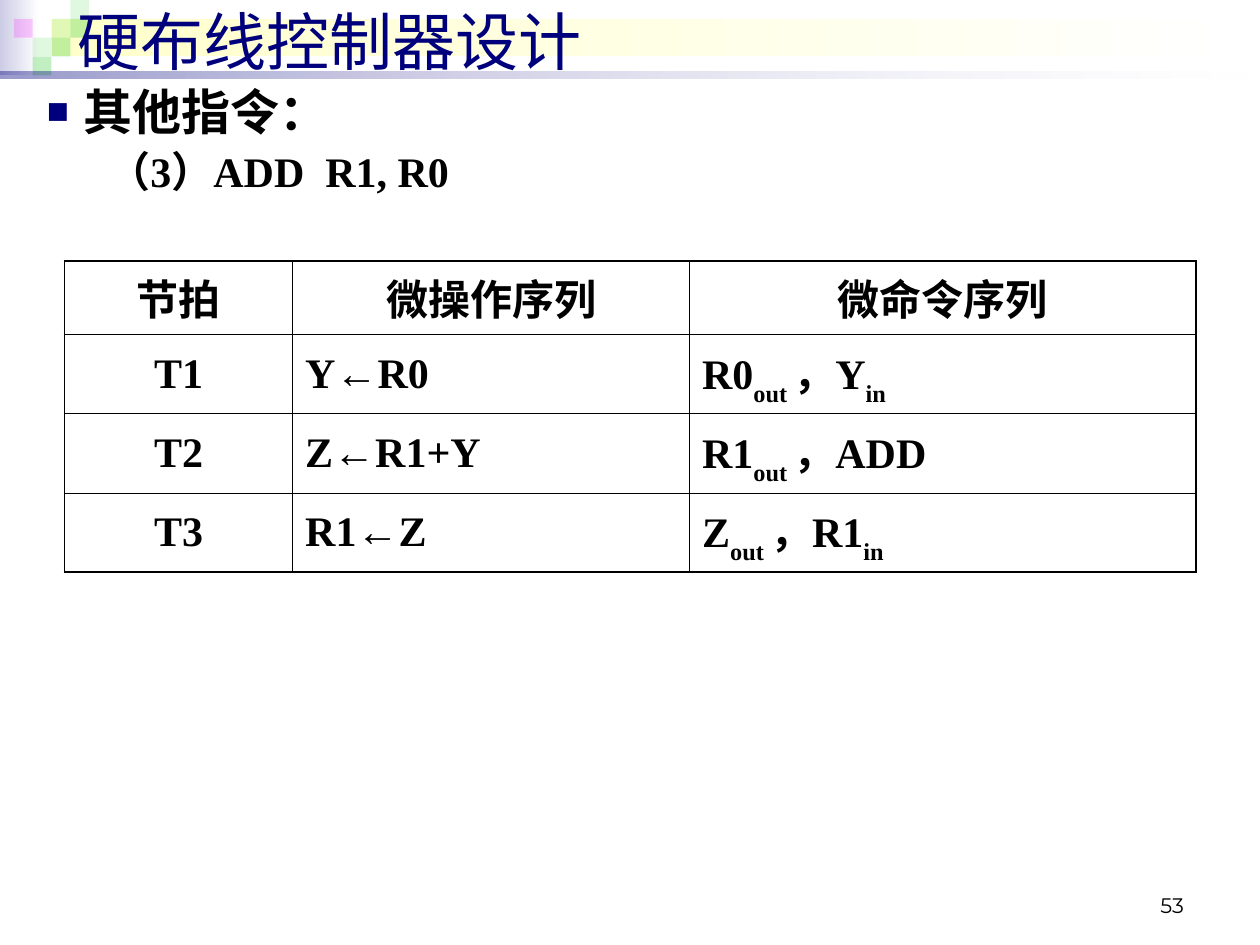
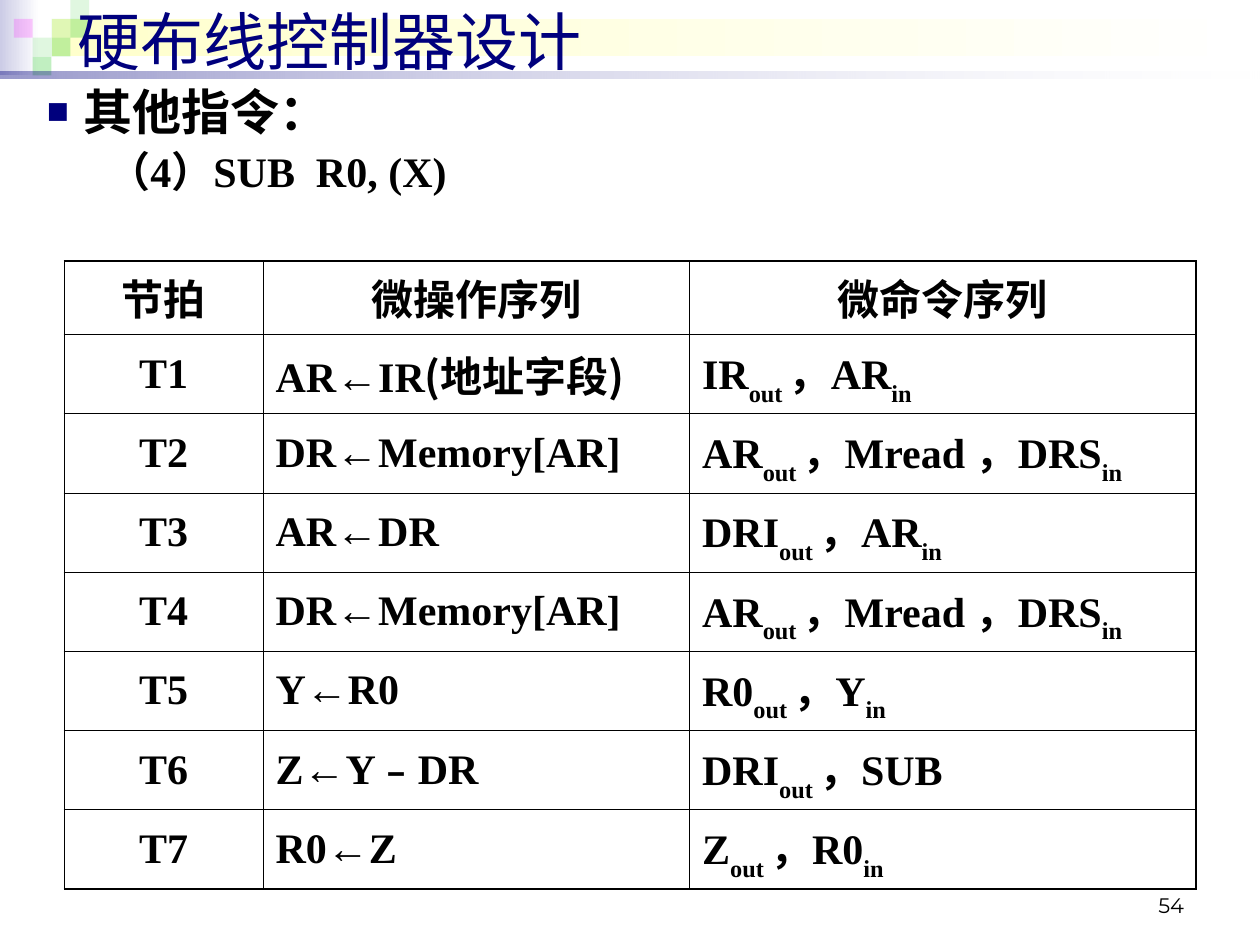
from dataclasses import dataclass

from lxml.etree import SubElement
from pptx import Presentation
from pptx.dml.color import RGBColor as RGB
from pptx.enum.shapes import MSO_SHAPE as SHAPE
from pptx.enum.text import MSO_ANCHOR as ANCHOR, MSO_AUTO_SIZE as FIT, PP_ALIGN as ALIGN
from pptx.oxml.ns import qn
from pptx.util import Cm, Pt


@dataclass(frozen=True)
class Theme:
    """Colours, fonts and type sizes shared by the slides."""

    navy: str = "00007D"
    black: str = "000000"
    white: str = "FFFFFF"
    lavender: str = "CCCCE6"
    cream: str = "FFFFCC"
    green: str = "33CC33"
    pink: str = "FF00FF"
    title_font: str = "Arial"
    body_font: str = "Times New Roman"
    cjk_font: str = "Noto Sans CJK SC"
    number_font: str = "Montserrat"
    title_size: int = 36
    lead_size: int = 28
    body_size: int = 24
    number_size: int = 12


T = Theme()
TITLE = "硬布线控制器设计"
LEAD = "其他指令："
HEADER = ("节拍", "微操作序列", "微命令序列")
OUTER, VERTICAL, HORIZONTAL = 1.08, 0.45, 0.34
SUBSCRIPTS = ("out", "in")
SLIDES = (
    dict(
        number="53",
        instruction="（3）ADD  R1, R0",
        widths=(4.6, 8, 10.21),
        steps=(
            ("Y←R0", "R0|out |，Y|in"),
            ("Z←R1+Y", "R1|out |，ADD"),
            ("R1←Z", "Z|out |，R1|in"),
        ),
    ),
    dict(
        number="54",
        instruction="（4）SUB  R0, (X)",
        widths=(4, 8.6, 10.21),
        steps=(
            ("AR←IR|(|地址字段|)", "IR|out |，AR|in"),
            ("DR←Memory[AR]", "AR|out |，Mread ，DRS|in"),
            ("AR←DR", "DRI|out |，AR|in"),
            ("DR←Memory[AR]", "AR|out |，Mread ，DRS|in"),
            ("Y←R0", "R0|out |，Y|in"),
            ("Z←Y﹣DR", "DRI|out |，SUB"),
            ("R0←Z", "Z|out |，R0|in"),
        ),
    ),
)


def set_attrs(obj, **values):
    """Set each given value as an attribute of the object."""
    for name, value in values.items():
        setattr(obj, name, value)


def place(sp, left, top, width, height):
    """Move and size a shape, in centimetres."""
    set_attrs(sp, left=Cm(left), top=Cm(top), width=Cm(width), height=Cm(height))


def add_run(p, text, size, font=T.body_font, color=T.black, bold=True):
    """Add a formatted run to a paragraph."""
    r = p.add_run()
    r.text = text
    set_attrs(r.font, size=Pt(size), name=font, bold=bold)
    r.font.color.rgb = RGB.from_string(color)
    return r


def add_rect(s, box, colors, alphas):
    """Add a borderless rectangle with a solid or right-to-left gradient fill."""
    sp = s.shapes.add_shape(SHAPE.RECTANGLE, *map(Cm, box))
    sp.shadow.inherit = False
    sp.line.fill.background()
    if len(colors) == 1:
        sp.fill.solid()
        targets = [sp.fill.fore_color]
    else:
        sp.fill.gradient()
        sp.fill.gradient_angle = 180
        targets = [stop.color for stop in sp.fill.gradient_stops]
    for target, color in zip(targets, colors):
        target.rgb = RGB.from_string(color)
    for clr, alpha in zip(sp.element.spPr.iter(qn("a:srgbClr")), alphas):
        if alpha < 100:
            SubElement(clr, qn("a:alpha"), val=str(alpha * 1000))
    return sp


def decorate_layout(s):
    """Draw the shared bands and squares and put them on the slide's layout."""
    unit, left = 0.38, 0.28
    squares = (
        (2, 1, T.green, 15), (3, 0, T.green, 15), (3, 1, T.green, 30),
        (1, 2, T.green, 15), (0, 1, T.pink, 20), (2, 2, T.green, 30),
        (1, 3, T.green, 30),
    )
    shapes = [
        add_rect(s, (0, 0, 0.79, 1.52), (T.white, T.lavender), (100, 100)),
        add_rect(s, (1.04, unit, 24.26, 2 * unit), (T.white, T.cream), (100, 100)),
    ]
    for col, row, color, alpha in squares:
        box = (left + col * unit, row * unit, unit, unit)
        shapes.append(add_rect(s, box, (color,), (alpha,)))
    shapes.append(add_rect(s, (0, 1.45, 25.4, 0.13), (T.white, T.navy), (10, 40)))
    tree = s.slide_layout.shapes.element
    for i, sp in enumerate(shapes):
        sp.element.nvSpPr.cNvPr.id = 100 + i
        tree.insert(2 + i, sp.element)


def add_title(s):
    """Fill and place the title placeholder."""
    sp = s.shapes.title
    place(sp, 1.3, -0.08, 23.8, 1.8)
    tf = sp.text_frame
    set_attrs(tf, vertical_anchor=ANCHOR.MIDDLE, auto_size=FIT.NONE, word_wrap=True)
    p = tf.paragraphs[0]
    p.alignment = ALIGN.LEFT
    add_run(p, TITLE, T.title_size, T.title_font, T.navy, False)


def set_indent(p, left, hanging, bullet=None):
    """Set the indent and a square bullet, or none, on a paragraph."""
    pPr = p._p.get_or_add_pPr()
    pPr.set("marL", str(Cm(left)))
    pPr.set("indent", str(-Cm(hanging)))
    if bullet:
        SubElement(SubElement(pPr, qn("a:buClr")), qn("a:srgbClr"), val=T.navy)
        SubElement(pPr, qn("a:buSzPct"), val="75000")
        SubElement(pPr, qn("a:buChar"), char=bullet)
    else:
        SubElement(pPr, qn("a:buNone"))


def add_body(s, instruction):
    """Fill the body placeholder with the lead line and the instruction."""
    sp = s.placeholders[1]
    place(sp, 0.69, 1.52, 24.4, 2.6)
    tf = sp.text_frame
    set_attrs(tf, auto_size=FIT.NONE, word_wrap=True)
    p = tf.paragraphs[0]
    set_indent(p, 0.74, 0.74, "■")
    p.space_before = Pt(0)
    add_run(p, LEAD, T.lead_size)
    p = tf.add_paragraph()
    set_indent(p, 2, 0.76)
    set_attrs(p, level=1, space_before=Pt(3))
    add_run(p, instruction, T.body_size)


def set_borders(cell, **widths):
    """Draw the cell's borders, given by side in points."""
    tcPr = cell._tc.get_or_add_tcPr()
    for side, width in widths.items():
        ln = SubElement(tcPr, qn(f"a:ln{side}"), w=str(Pt(width)))
        SubElement(SubElement(ln, qn("a:solidFill")), qn("a:srgbClr"), val=T.black)


def fill_cell(cell, text, align):
    """Write a cell's pieces, lowering the signal subscripts."""
    cell.vertical_anchor = ANCHOR.MIDDLE
    p = cell.text_frame.paragraphs[0]
    p.alignment = align
    for piece in text.split("|"):
        font = T.cjk_font if piece in ("(", ")") else T.body_font
        r = add_run(p, piece, T.body_size, font)
        if piece.strip() in SUBSCRIPTS:
            r._r.get_or_add_rPr().set("baseline", "-30000")


def add_steps_table(s, widths, steps):
    """Add the table of clock beats, micro-operations and micro-commands."""
    rows = [HEADER, *((f"T{i}", *step) for i, step in enumerate(steps, 1))]
    heights = [1.27] + [1.45] * len(steps)
    last_row, last_col = len(steps), len(widths) - 1
    box = map(Cm, (1.3, 5.26, sum(widths), sum(heights)))
    table = s.shapes.add_table(len(rows), len(widths), *box).table
    set_attrs(table, first_row=False, horz_banding=False)
    for col, width in zip(table.columns, widths):
        col.width = Cm(width)
    for i, (row, height) in enumerate(zip(rows, heights)):
        table.rows[i].height = Cm(height)
        for j, text in enumerate(row):
            cell = table.cell(i, j)
            set_borders(
                cell,
                L=OUTER if j == 0 else VERTICAL,
                R=OUTER if j == last_col else VERTICAL,
                T=OUTER if i <= 1 else HORIZONTAL,
                B=OUTER if i in (0, last_row) else HORIZONTAL,
            )
            cell.fill.background()
            fill_cell(cell, text, ALIGN.CENTER if i == 0 or j == 0 else ALIGN.LEFT)


def add_number(s, number):
    """Add the slide number at the lower right."""
    tf = s.shapes.add_textbox(*map(Cm, (18.2, 17.35, 5.92, 1.27))).text_frame
    set_attrs(tf, word_wrap=True, vertical_anchor=ANCHOR.BOTTOM)
    p = tf.paragraphs[0]
    p.alignment = ALIGN.RIGHT
    add_run(p, number, T.number_size, T.number_font, bold=False)


def add_slide(prs, number, instruction, widths, steps):
    """Add one instruction slide."""
    s = prs.slides.add_slide(prs.slide_layouts[1])
    add_title(s)
    add_body(s, instruction)
    add_steps_table(s, widths, steps)
    add_number(s, number)
    return s


def main():
    """Build and save the presentation."""
    prs = Presentation()
    set_attrs(prs, slide_width=Cm(25.4), slide_height=Cm(19.05))
    slides = [add_slide(prs, **content) for content in SLIDES]
    decorate_layout(slides[0])
    prs.save("out.pptx")


if __name__ == "__main__":
    main()
